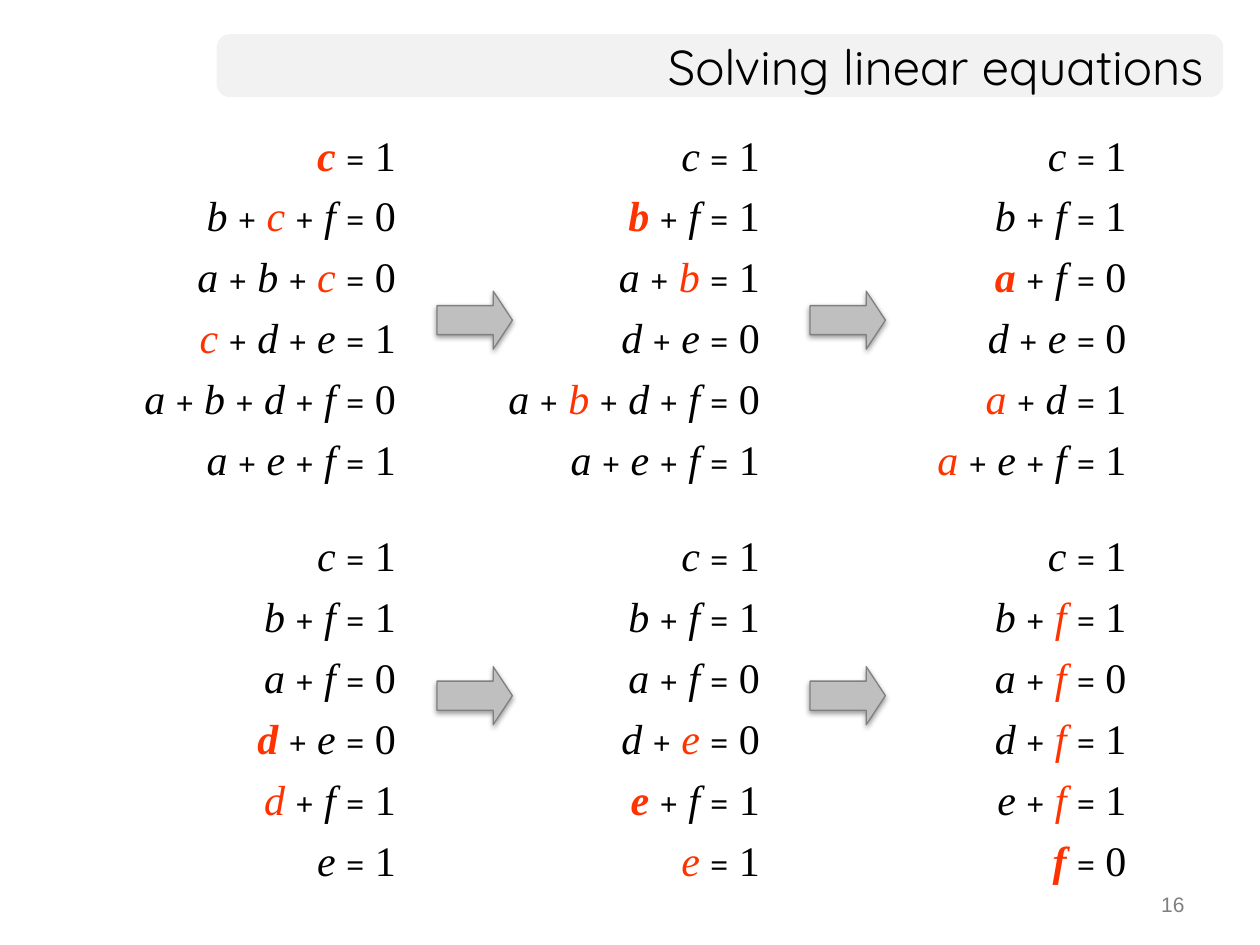
"""Build a slide that solves a system of linear equations step by step."""
from dataclasses import dataclass
from typing import Any

import lxml.etree
import pptx
import pptx.dml.color
import pptx.enum.shapes
import pptx.enum.text
import pptx.oxml.ns
import pptx.util

Cm = pptx.util.Cm
Pt = pptx.util.Pt
RGB = pptx.dml.color.RGBColor
Shape = pptx.enum.shapes.MSO_SHAPE
Align = pptx.enum.text.PP_ALIGN
Anchor = pptx.enum.text.MSO_ANCHOR
Fit = pptx.enum.text.MSO_AUTO_SIZE

BLACK = RGB(0x00, 0x00, 0x00)
RED = RGB(0xFF, 0x33, 0x00)
PALE = RGB(0xF2, 0xF2, 0xF2)
SILVER = RGB(0xBF, 0xBF, 0xBF)
GRAY = RGB(0x80, 0x80, 0x80)

MATH = {"name": "Times New Roman", "size": Pt(24), "bold": False,
        "italic": False, "color": BLACK}
SIGN = MATH | {"size": Pt(18), "bold": True}
NAME = MATH | {"italic": True}
MARKED = NAME | {"color": RED}
PIVOT = MARKED | {"bold": True}
HEAD = {"name": "Quicksand", "size": Pt(28), "color": BLACK}
FOOT = {"name": "Arial", "size": Pt(12), "color": GRAY}


@dataclass
class Step:
    """Equations of one step: * leads a pivot, ^ leads a marked name."""
    col: int
    row: int
    width: float
    lines: str


RIGHTS = (8.23, 15.57, 22.96)
TOPS = (2.46, 10.54)
HEIGHT = 7.44
ARROW_LEFTS = (8.81, 16.33)
ARROW_TOPS = (5.87, 13.44)

STEPS = (
    Step(0, 0, 6.96, "*c = 1; b + ^c + f = 0; a + b + ^c = 0; "
         "^c + d + e = 1; a + b + d + f = 0; a + e + f = 1"),
    Step(1, 0, 5.69, "c = 1; *b + f = 1; a + ^b = 1; "
         "d + e = 0; a + ^b + d + f = 0; a + e + f = 1"),
    Step(2, 0, 5.11, "c = 1; b + f = 1; *a + f = 0; "
         "d + e = 0; ^a + d = 1; ^a + e + f = 1"),
    Step(0, 1, 3.4, "c = 1; b + f = 1; a + f = 0; "
         "*d + e = 0; ^d + f = 1; e = 1"),
    Step(1, 1, 3.4, "c = 1; b + f = 1; a + f = 0; "
         "d + ^e = 0; *e + f = 1; ^e = 1"),
    Step(2, 1, 3.25, "c = 1; b + ^f = 1; a + ^f = 0; "
         "d + ^f = 1; e + ^f = 1; *f = 0"),
)


def style(font: Any, form: dict[str, Any]) -> None:
    """Apply a dict of format values to a font."""
    for key, value in form.items():
        if key == "color":
            font.color.rgb = value
        else:
            setattr(font, key, value)


def add_run(para: Any, text: str, form: dict[str, Any]) -> None:
    """Append one styled run."""
    run = para.add_run()
    run.text = text
    style(run.font, form)


def add_line(para: Any, line: str) -> None:
    """Write one equation as runs."""
    for part in line.split():
        if part in "+=":
            add_run(para, part, SIGN)
            if part == "+":
                add_run(para, " ", MATH)
        elif part.isdigit():
            add_run(para, f" {part}", MATH)
        else:
            form = {"*": PIVOT, "^": MARKED}.get(part[0], NAME)
            add_run(para, f"{part[-1]} ", form)


def set_frame(frame: Any) -> None:
    """Fix the wrap, size and anchor of a text frame."""
    form = {"word_wrap": True, "auto_size": Fit.NONE,
            "vertical_anchor": Anchor.MIDDLE}
    for key, value in form.items():
        setattr(frame, key, value)


def add_step(slide: Any, step: Step) -> None:
    """Draw the equations of one step, aligned on the right."""
    box = slide.shapes.add_textbox(
        Cm(RIGHTS[step.col] - step.width), Cm(TOPS[step.row]),
        Cm(step.width), Cm(HEIGHT))
    frame = box.text_frame
    set_frame(frame)
    for rank, line in enumerate(step.lines.split("; ")):
        para = frame.add_paragraph() if rank else frame.paragraphs[0]
        para.alignment = Align.RIGHT
        para.space_before = Pt(6 if rank else 0)
        add_line(para, line)


def add_shade(shape: Any) -> None:
    """Give a shape a soft shadow below it."""
    shape.shadow.inherit = False
    qn = pptx.oxml.ns.qn
    effects = shape.element.spPr.find(qn("a:effectLst"))
    shade = lxml.etree.SubElement(
        effects, qn("a:outerShdw"), blurRad=str(Pt(3.1)), dist=str(Pt(1.6)),
        dir="5400000", algn="t", rotWithShape="0")
    color = lxml.etree.SubElement(shade, qn("a:srgbClr"), val=str(BLACK))
    lxml.etree.SubElement(color, qn("a:alpha"), val="38000")


def add_arrow(slide: Any, left: float, top: float) -> None:
    """Draw an arrow from one step to the next."""
    arrow = slide.shapes.add_shape(
        Shape.RIGHT_ARROW, Cm(left), Cm(top), Cm(1.52), Cm(1.17))
    arrow.adjustments[1] = 0.33
    arrow.fill.solid()
    arrow.fill.fore_color.rgb = SILVER
    arrow.line.color.rgb = GRAY
    arrow.line.width = Pt(0.75)
    add_shade(arrow)


def add_title(slide: Any, text: str) -> None:
    """Set the title on a rounded bar."""
    title = slide.shapes.title
    bar = slide.shapes.add_shape(
        Shape.ROUNDED_RECTANGLE, Cm(4.37), Cm(0.69), Cm(20.29), Cm(1.27))
    bar.adjustments[0] = 0.21
    bar.shadow.inherit = False
    bar.fill.solid()
    bar.fill.fore_color.rgb = PALE
    bar.line.fill.background()
    title.element.addprevious(bar.element)
    place = {"left": bar.left, "top": bar.top,
             "width": Cm(20.14), "height": bar.height}
    for key, value in place.items():
        setattr(title, key, value)
    set_frame(title.text_frame)
    para = title.text_frame.paragraphs[0]
    para.alignment = Align.RIGHT
    add_run(para, text, HEAD)


def add_number(slide: Any, text: str) -> None:
    """Write the page number."""
    box = slide.shapes.add_textbox(Cm(18.21), Cm(17.78), Cm(5.92), Cm(0.89))
    set_frame(box.text_frame)
    para = box.text_frame.paragraphs[0]
    para.alignment = Align.RIGHT
    add_run(para, text, FOOT)


def main() -> None:
    """Build and save the deck."""
    deck = pptx.Presentation()
    deck.slide_width, deck.slide_height = Cm(25.4), Cm(19.05)
    slide = deck.slides.add_slide(deck.slide_layouts.get_by_name("Title Only"))
    add_title(slide, "Solving linear equations")
    add_number(slide, "16")
    for step in STEPS:
        add_step(slide, step)
    for top in ARROW_TOPS:
        for left in ARROW_LEFTS:
            add_arrow(slide, left, top)
    deck.save("out.pptx")


if __name__ == "__main__":
    main()
